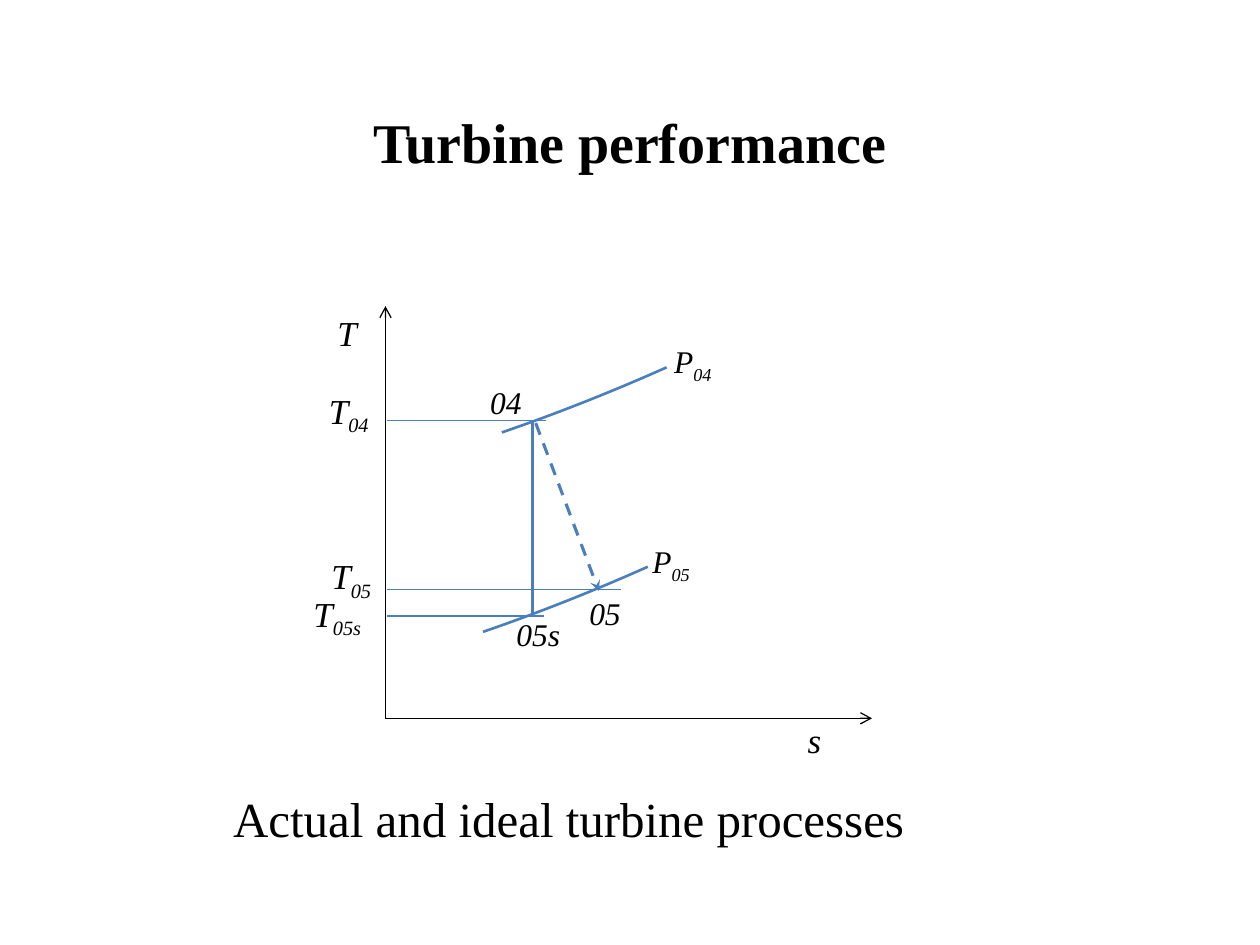
"""Build the turbine performance slide with its T-s diagram."""
from lxml.etree import SubElement
from pptx import Presentation
from pptx.dml.color import RGBColor
from pptx.enum.dml import MSO_LINE as Dash
from pptx.enum.shapes import MSO_CONNECTOR as Connector, MSO_SHAPE as Shape
from pptx.enum.text import MSO_ANCHOR as Anchor, MSO_AUTO_SIZE as AutoSize, PP_ALIGN as Align
from pptx.oxml.ns import qn
from pptx.util import Cm, Pt

COLORS = {"ink": "000000", "process": "4B7EBC"}


class DiagramSlide:
    """Hold the style and the current slide, and draw each kind of element."""

    font_name = "Times New Roman"

    def __init__(self, slide):
        self.slide = slide

    def color(self, name):
        return RGBColor.from_string(COLORS[name])

    def text(self, box, text, size, subscript="", bold=False, italic=False):
        shape = self.slide.shapes.add_textbox(*map(Cm, box))
        paragraph = shape.text_frame.paragraphs[0]
        paragraph.add_run().text = text
        if subscript:
            run = paragraph.add_run()
            run.text = subscript
            run.font._element.set("baseline", "-25000")
        font = paragraph.font
        font.name, font.size = self.font_name, Pt(size)
        font.bold, font.italic = bold, italic
        font.color.rgb = self.color("ink")
        shape.text_frame.word_wrap = True
        return shape

    def label(self, left, top, width, size, text, subscript=""):
        height = 1.12 if size == 20 else 1.02
        shape = self.text((left, top, width, height), text, size, subscript, italic=True)
        shape.text_frame.word_wrap = False
        shape.text_frame.auto_size = AutoSize.SHAPE_TO_FIT_TEXT

    def line(self, start, end, color="process", width=0.75, arrow=None, dash=None):
        connector = self.slide.shapes.add_connector(
            Connector.STRAIGHT, *map(Cm, start + end))
        connector.line.color.rgb = self.color(color)
        connector.line.width = Pt(width)
        if dash:
            connector.line.dash_style = dash
        properties = connector.element.spPr
        if arrow:
            SubElement(properties.find(qn("a:ln")), qn("a:tailEnd"), type=arrow)
        SubElement(properties, qn("a:effectLst"))

    def isobar(self, left, top):
        arc = self.slide.shapes.add_shape(
            Shape.ARC, Cm(left), Cm(top), Cm(15.85), Cm(2.97))
        arc.shadow.inherit = False
        arc.rotation = 156.5
        arc.adjustments[0], arc.adjustments[1] = 152.86, 202.04
        arc.fill.background()
        arc.line.color.rgb = self.color("process")
        arc.line.width = Pt(1.5)


def main():
    presentation = Presentation()
    presentation.slide_width, presentation.slide_height = Cm(25.4), Cm(19.05)
    diagram = DiagramSlide(presentation.slides.add_slide(presentation.slide_layouts[6]))

    origin = (7.77, 14.48)
    for axis_end in ((17.58, 14.48), (7.77, 6.17)):
        diagram.line(origin, axis_end, color="ink", arrow="arrow")

    diagram.line((10.74, 12.4), (10.74, 8.48), width=1.75)
    diagram.line((10.8, 8.53), (12.07, 11.91), width=1.75, arrow="stealth", dash=Dash.DASH)

    for label in (
        (16.03, 14.35, 0.79, 20, "s"),
        (6.55, 6.15, 0.91, 20, "T"),
        (6.38, 7.72, 1.37, 20, "T", "04"),
        (6.43, 11.05, 1.37, 20, "T", "05"),
        (6.07, 11.81, 1.57, 20, "T", "05s"),
        (13.34, 6.78, 1.32, 18, "P", "04"),
        (12.9, 10.8, 1.32, 18, "P", "05"),
        (9.63, 7.59, 1.14, 18, "04"),
        (11.63, 11.86, 1.14, 18, "05"),
        (10.16, 12.27, 1.4, 18, "05s"),
    ):
        diagram.label(*label)

    for level, right in ((8.47, 11), (11.89, 12.52), (12.42, 10.97)):
        diagram.line((7.81, level), (right, level))

    diagram.isobar(4.17, 8.74)
    diagram.isobar(4.55, 4.72)

    caption = diagram.text((4.45, 15.77, 18.19, 1.45), "Actual and ideal turbine processes", 28)
    caption.text_frame.auto_size = AutoSize.SHAPE_TO_FIT_TEXT
    title = diagram.text((1.27, 1.9, 22.86, 1.9), "Turbine performance", 32, bold=True)
    title.text_frame.vertical_anchor = Anchor.MIDDLE
    title.text_frame.paragraphs[0].alignment = Align.CENTER

    presentation.save("out.pptx")


if __name__ == "__main__":
    main()
